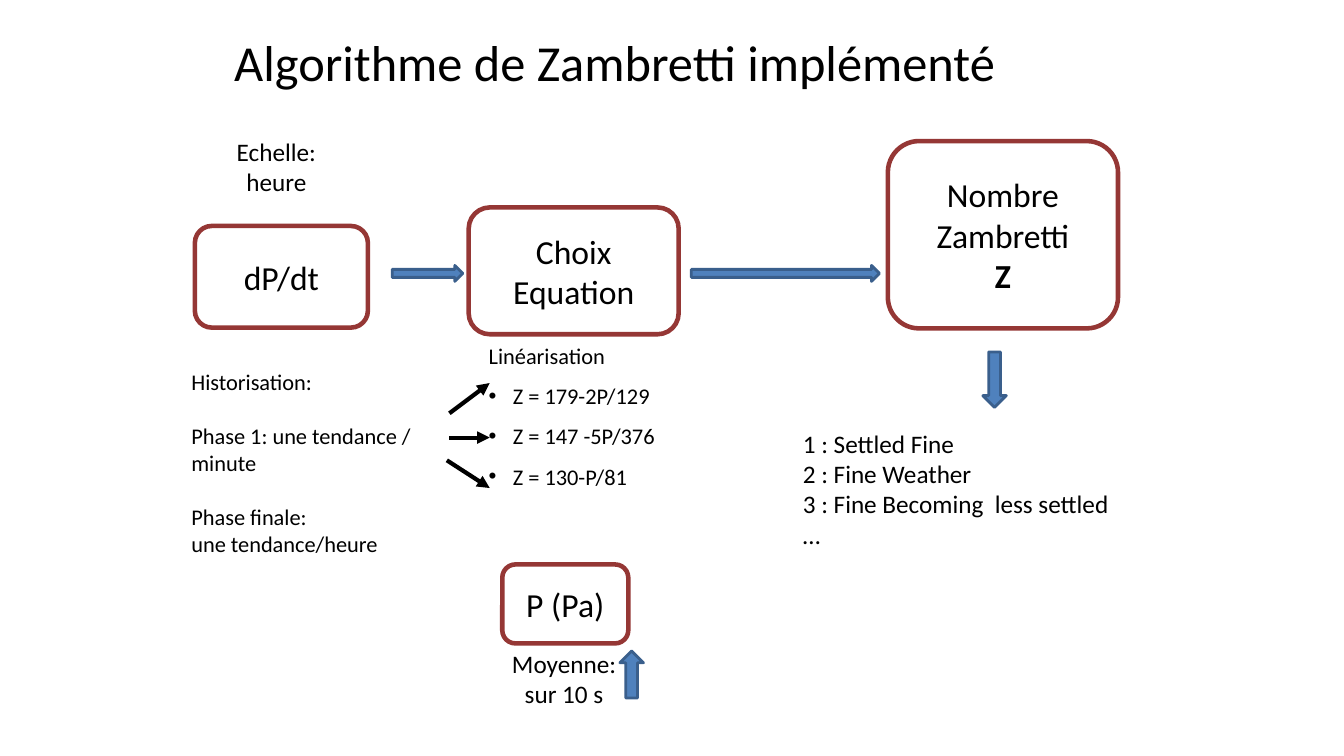
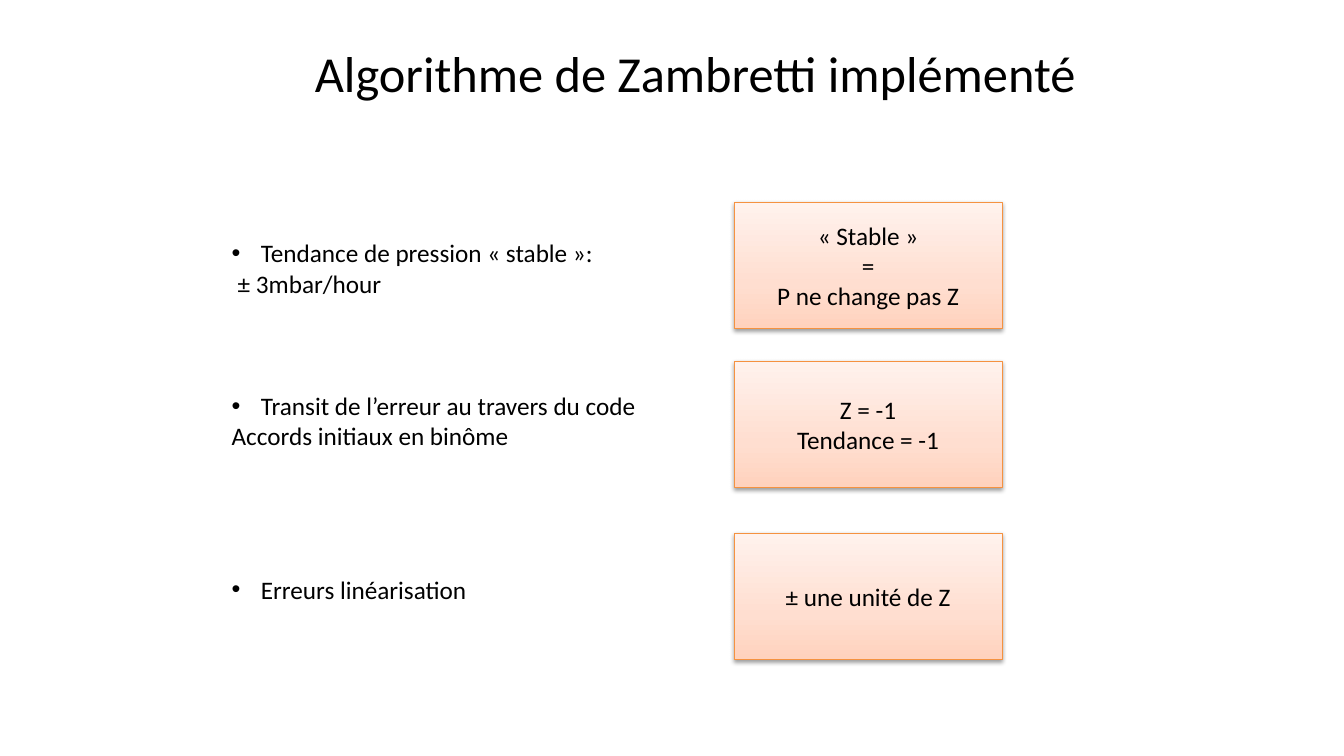
from lxml import etree
from pptx import Presentation
from pptx import util as u
from pptx.dml.color import RGBColor
from pptx.enum import shapes, text
from pptx.oxml.ns import qn

rgb = RGBColor.from_string
BLACK, FRAME, BLUE, BLUE_EDGE, ORANGE = "000000", "953735", "4F81BD", "3A5F8C", "F59240"
PEACH = [(0, "FFD2BD"), (35, "FFDED0"), (100, "FFF2ED")]
FONT = "Calibri"
TITLE = "Algorithme de Zambretti implémenté"
LEFT, CENTER = text.PP_ALIGN.LEFT, text.PP_ALIGN.CENTER
TOP, MIDDLE = text.MSO_ANCHOR.TOP, text.MSO_ANCHOR.MIDDLE
KIND = shapes.MSO_SHAPE

prs = Presentation()
prs.slide_width, prs.slide_height = u.Inches(13.33), u.Inches(7.5)
COL, ROW = prs.slide_width / 160, prs.slide_height / 90


def grid(x, y, w, h):
    return [u.Emu(int(v)) for v in (x * COL, y * ROW, w * COL, h * ROW)]


def write(sp, paragraphs, size, align=LEFT, anchor=TOP):
    tf = sp.text_frame
    tf.word_wrap = True
    tf.vertical_anchor = anchor
    for i, (words, opts) in enumerate(paragraphs):
        p = tf.add_paragraph() if i else tf.paragraphs[0]
        p.alignment = align
        pPr = p._p.get_or_add_pPr()
        indent = opts.get("indent", 0)
        pPr.set("marL", str(u.Inches(indent)))
        if opts.get("bullet"):
            pPr.set("indent", str(-u.Inches(indent)))
            etree.SubElement(pPr, qn("a:buFont")).set("typeface", "Arial")
            etree.SubElement(pPr, qn("a:buChar")).set("char", "•")
        if "before" in opts:
            p.space_before = u.Pt(opts["before"])
        if "spacing" in opts:
            p.line_spacing = opts["spacing"]
        r = p.add_run()
        r.text = words
        r.font.name, r.font.size = FONT, u.Pt(size)
        r.font.bold = opts.get("bold", False)
        r.font.color.rgb = rgb(BLACK)


slides = []
for x, y in [(19.2, 3.6), (28.8, 4.9)]:
    s = prs.slides.add_slide(prs.slide_layouts[6])
    sp = s.shapes.add_textbox(*grid(x, y, 108, 8.3))
    write(sp, [(TITLE, {"spacing": 0.9})], 36, CENTER, MIDDLE)
    slides.append(s)
diagram, limits = slides

steps = [
    ((23.2, 26.9, 20.6, 12.1), [("dP/dt", {})]),
    ((59.8, 67.2, 15, 9.4), [("P (Pa)", {})]),
    ((55.8, 24.7, 25, 15.1), [("Choix", {}), ("Equation", {})]),
    ((105.7, 16.8, 27.4, 22.3), [("Nombre", {}), ("Zambretti", {}), ("Z", {"bold": True})]),
]
for cell, lines in steps:
    sp = diagram.shapes.add_shape(KIND.ROUNDED_RECTANGLE, *grid(*cell))
    sp.shadow.inherit = False
    sp.fill.background()
    sp.line.color.rgb, sp.line.width = rgb(FRAME), u.Pt(3.25)
    write(sp, lines, 24, CENTER, MIDDLE)

arrows = [
    (KIND.RIGHT_ARROW, (46.7, 31.6, 8.4, 1.9)),
    (KIND.RIGHT_ARROW, (82.3, 31.6, 22.4, 1.9)),
    (KIND.DOWN_ARROW, (117, 41.9, 2.8, 6.6)),
    (KIND.UP_ARROW, (73.8, 77.5, 2.8, 5.6)),
]
for kind, cell in arrows:
    sp = diagram.shapes.add_shape(kind, *grid(*cell))
    sp.shadow.inherit = False
    sp.fill.solid()
    sp.fill.fore_color.rgb = rgb(BLUE)
    sp.line.color.rgb, sp.line.width = rgb(BLUE_EDGE), u.Pt(2)

equation = {"indent": 0.24, "bullet": True, "spacing": 1.5}
notes = [
    ((23.9, 15.6, 18, 8.4), 18, CENTER, [("Echelle:", {}), ("heure", {})]),
    ((57.8, 76.6, 18.7, 8.4), 18, CENTER, [("Moyenne:", {}), ("sur 10 s", {})]),
    ((21.6, 43.2, 32.3, 23.5), 16, LEFT, [
        ("Historisation:", {}),
        ("Phase 1: une tendance / minute", {"before": 19.5}),
        ("Phase finale:", {"before": 19.5}),
        ("une tendance/heure", {}),
    ]),
    ((57, 40.1, 28.1, 25.1), 16, LEFT, [
        ("Linéarisation", {}),
        ("Z = 179-2P/129", equation),
        ("Z = 147 -5P/376", equation),
        ("Z = 130-P/81", equation),
    ]),
    ((94.4, 50.4, 39.4, 22.8), 18, LEFT, [
        ("1 : Settled Fine", {}),
        ("2 : Fine Weather", {}),
        ("3 : Fine Becoming  less settled", {}),
        ("…", {}),
    ]),
]
for cell, size, align, lines in notes:
    write(diagram.shapes.add_textbox(*grid(*cell)), lines, size, align)

for ends in [(53.5, 52.1, 58.3, 52.1), (53.5, 49.2, 58.3, 45.6), (53.2, 54.8, 58.3, 58.1)]:
    c = diagram.shapes.add_connector(shapes.MSO_CONNECTOR.STRAIGHT, *grid(*ends))
    c.line.color.rgb, c.line.width = rgb(BLACK), u.Pt(3)
    spPr = c._element.spPr
    etree.SubElement(spPr.find(qn("a:ln")), qn("a:tailEnd")).set("type", "triangle")
    etree.SubElement(spPr, qn("a:effectLst"))

topic = {"indent": 0.29, "bullet": True}
sp = limits.shapes.add_textbox(*grid(26.4, 27.7, 55.3, 58.6))
write(sp, [
    ("Tendance de pression « stable »:", topic),
    ("± 3mbar/hour", {"indent": 0.06}),
    ("Transit de l’erreur au travers du code", {**topic, "before": 66}),
    ("Accords initiaux en binôme", {}),
    ("Erreurs linéarisation", {**topic, "before": 88}),
], 18)

answers = [
    (24.1, ["« Stable »", "=", "P ne change pas Z"]),
    (43, ["Z = -1", "Tendance = -1"]),
    (63.5, ["± une unité de Z"]),
]
for top, lines in answers:
    sp = limits.shapes.add_shape(KIND.RECTANGLE, *grid(87.4, top, 31.9, 15))
    sp.shadow.inherit = False
    sp.fill.gradient()
    sp.fill.gradient_angle = 90
    sp.line.color.rgb, sp.line.width = rgb(ORANGE), u.Pt(0.75)
    spPr = sp._element.spPr
    stops = spPr.find(".//" + qn("a:gsLst"))
    for stop in list(stops):
        stops.remove(stop)
    for pos, color in PEACH:
        stop = etree.SubElement(stops, qn("a:gs"), pos=str(pos * 1000))
        etree.SubElement(stop, qn("a:srgbClr"), val=color)
    shadow = etree.SubElement(
        spPr.find(qn("a:effectLst")), qn("a:outerShdw"),
        blurRad=str(u.Pt(3.1)), dist=str(u.Pt(1.6)), dir="5400000", rotWithShape="0")
    tint = etree.SubElement(shadow, qn("a:srgbClr"), val=BLACK)
    etree.SubElement(tint, qn("a:alpha"), val="38000")
    write(sp, [(line, {}) for line in lines], 18, CENTER, MIDDLE)

prs.save("out.pptx")
